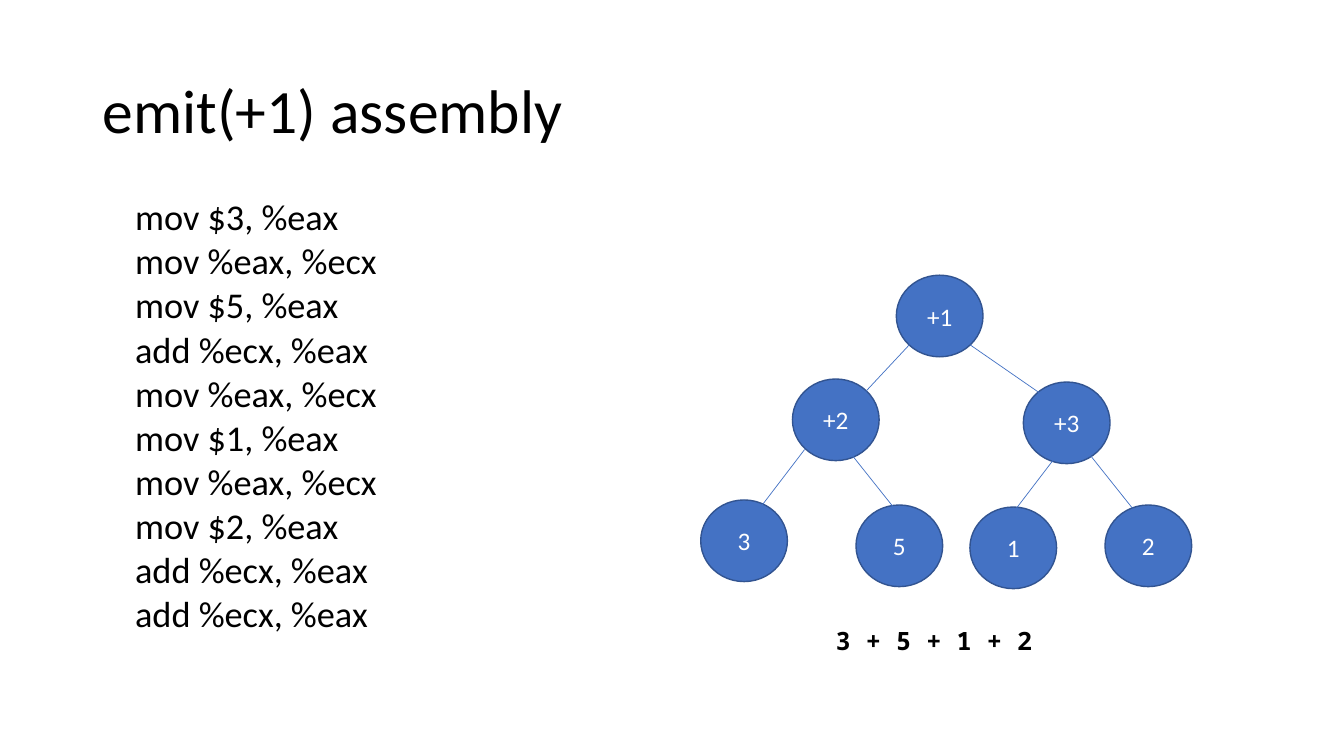
from lxml.etree import SubElement
from pptx import Presentation
from pptx.dml.color import RGBColor
from pptx.enum.shapes import MSO_CONNECTOR, MSO_SHAPE
from pptx.enum.text import MSO_ANCHOR, PP_ALIGN
from pptx.oxml.ns import qn
from pptx.util import Inches, Pt

BLACK = RGBColor(0x00, 0x00, 0x00)
WHITE = RGBColor(0xFF, 0xFF, 0xFF)
NODE_BLUE = RGBColor(0x44, 0x72, 0xC4)
NODE_BORDER = RGBColor(0x32, 0x54, 0x91)

NODE_WIDTH, NODE_HEIGHT = 0.86, 0.81

ASSEMBLY = [
    "mov $3, %eax",
    "mov %eax, %ecx",
    "mov $5, %eax",
    "add %ecx, %eax",
    "mov %eax, %ecx",
    "mov $1, %eax",
    "mov %eax, %ecx",
    "mov $2, %eax",
    "add %ecx, %eax",
    "add %ecx, %eax",
]

TREE_NODES = [
    ("+1", 8.89, 2.73),
    ("+2", 7.86, 3.76),
    ("+3", 10.15, 3.79),
    ("3", 6.95, 4.96),
    ("5", 8.49, 5.01),
    ("1", 9.62, 5.03),
    ("2", 10.96, 5.01),
]

TREE_EDGES = [
    (9.02, 3.42, 8.59, 3.88),
    (9.62, 3.42, 10.4, 3.96),
    (7.98, 4.46, 7.56, 5.01),
    (8.43, 4.49, 8.86, 5.03),
    (10.48, 4.52, 10.06, 5.07),
    (10.8, 4.5, 11.23, 5.04),
]


def style_font(font, size, color=BLACK, name="Calibri", bold=False):
    font.name = name
    font.size = Pt(size)
    font.bold = bold
    font.color.rgb = color


def add_text(slide, text, left, top, width, height, size, **font_options):
    frame = slide.shapes.add_textbox(
        Inches(left), Inches(top), Inches(width), Inches(height)
    ).text_frame
    frame.word_wrap = True
    frame.text = text
    for paragraph in frame.paragraphs:
        for run in paragraph.runs:
            style_font(run.font, size, **font_options)
    return frame


def add_title(slide, text):
    title = add_text(slide, text, 0.92, 0.4, 11.5, 1.45, 44)
    title.vertical_anchor = MSO_ANCHOR.MIDDLE
    title.paragraphs[0].line_spacing = 0.9


def add_code(slide, lines):
    code = add_text(slide, "\n".join(lines), 0.92, 2, 11.5, 4.76, 25.9)
    code.margin_left = Inches(0.42)
    for index, paragraph in enumerate(code.paragraphs):
        paragraph.line_spacing = 0.7
        paragraph.space_before = Pt(9.7 if index else 0)


def add_edge(slide, *ends):
    edge = slide.shapes.add_connector(
        MSO_CONNECTOR.STRAIGHT, *[Inches(end) for end in ends]
    )
    edge.line.color.rgb = NODE_BLUE
    edge.line.width = Pt(0.5)
    SubElement(edge._element.spPr, qn("a:effectLst"))


def add_node(slide, label, left, top):
    node = slide.shapes.add_shape(
        MSO_SHAPE.OVAL,
        Inches(left), Inches(top), Inches(NODE_WIDTH), Inches(NODE_HEIGHT),
    )
    node.shadow.inherit = False
    node.fill.solid()
    node.fill.fore_color.rgb = NODE_BLUE
    node.line.color.rgb = NODE_BORDER
    node.line.width = Pt(1)
    frame = node.text_frame
    frame.text = label
    frame.vertical_anchor = MSO_ANCHOR.MIDDLE
    paragraph = frame.paragraphs[0]
    paragraph.alignment = PP_ALIGN.CENTER
    style_font(paragraph.runs[0].font, 18, WHITE)


def main():
    presentation = Presentation()
    presentation.slide_width = Inches(13.33)
    presentation.slide_height = Inches(7.5)
    slide = presentation.slides.add_slide(presentation.slide_layouts[6])
    add_title(slide, "emit(+1) assembly")
    add_code(slide, ASSEMBLY)
    for node in TREE_NODES:
        add_node(slide, *node)
    for edge in TREE_EDGES:
        add_edge(slide, *edge)
    add_text(slide, "3 + 5 + 1 + 2", 8.19, 6.15, 4.26, 0.41, 18,
             name="Noto Sans Mono", bold=True)
    presentation.save("out.pptx")


if __name__ == "__main__":
    main()
